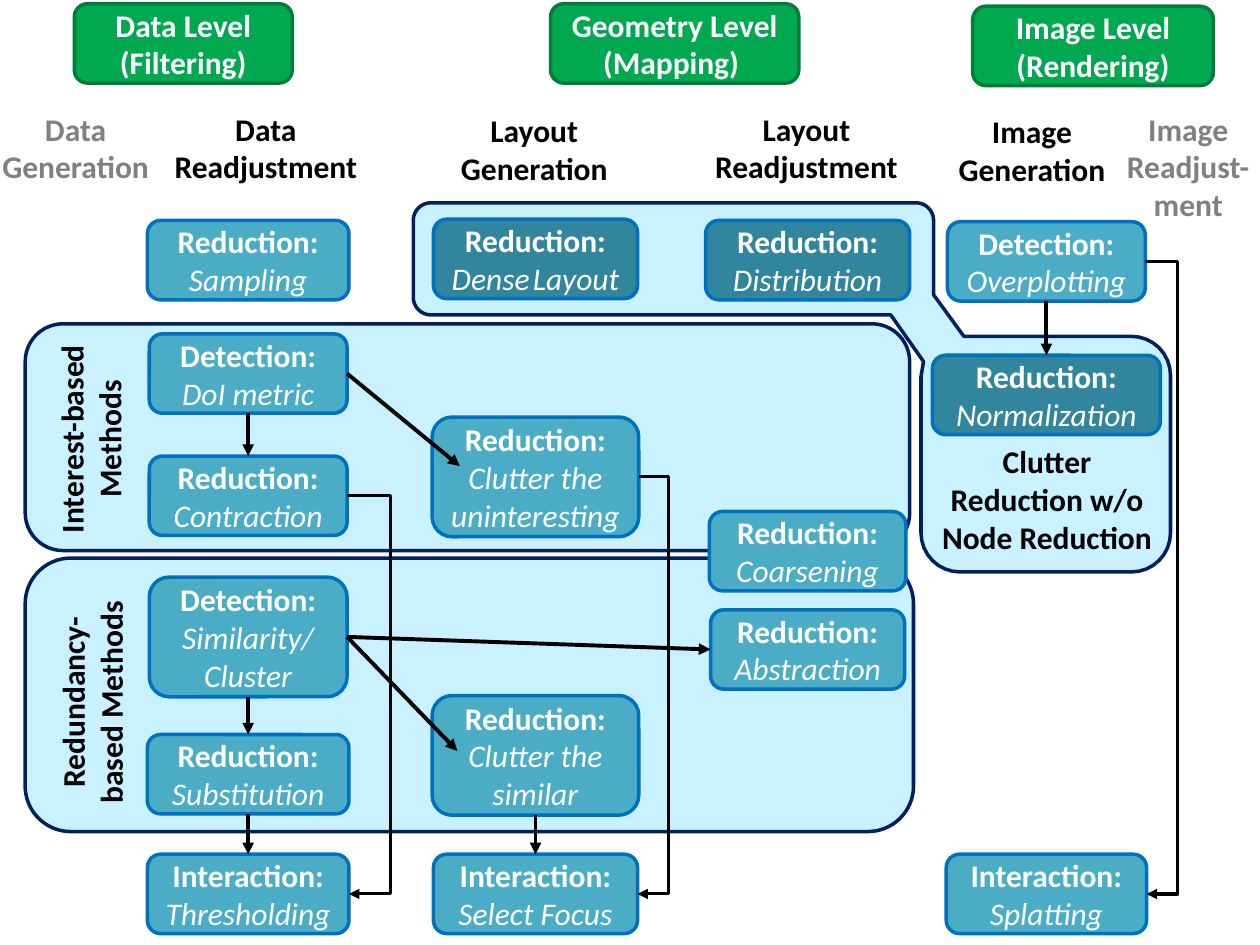
from dataclasses import dataclass
from math import cos, hypot, pi, sin

from lxml.etree import SubElement
from pptx import Presentation
from pptx.dml.color import RGBColor
from pptx.enum.shapes import MSO_CONNECTOR, MSO_SHAPE
from pptx.enum.text import MSO_ANCHOR, PP_ALIGN
from pptx.oxml.ns import qn
from pptx.util import Inches, Pt


@dataclass(frozen=True)
class Theme:
    font: str = "Calibri"
    text_size: float = 18
    thin_space_size: float = 8
    outline: float = 2
    arrow: float = 2.25
    elbow: float = 1.75
    black: str = "000000"
    white: str = "FFFFFF"
    muted: str = "808080"
    level: str = "00A950"
    level_edge: str = "007D3B"
    step: str = "4BACC6"
    step_dark: str = "31859C"
    step_edge: str = "0070C0"
    region: str = "C9F1FF"
    region_edge: str = "002060"


THEME = Theme()

# Grid: column centres in inches, and step heights by number of text lines
COLUMN = {"data": 1.97, "layout": 4.25, "readjust": 6.41, "image": 8.305}
HEIGHT = {2: 0.63, 3: 0.95}


@dataclass(frozen=True)
class Step:
    kind: str
    method: str
    column: str
    top: float
    width: float
    lines: int = 2
    fill: str = THEME.step

    @property
    def center(self) -> float:
        return COLUMN[self.column]

    @property
    def left(self) -> float:
        return self.center - self.width / 2

    @property
    def right(self) -> float:
        return self.center + self.width / 2

    @property
    def height(self) -> float:
        return HEIGHT[self.lines]

    @property
    def bottom(self) -> float:
        return self.top + self.height

    @property
    def middle(self) -> float:
        return self.top + self.height / 2


@dataclass(frozen=True)
class Caption:
    text: str
    center: float
    top: float
    width: float
    height: float = 0.71
    color: str = THEME.black
    rotation: float = 0


REGIONS = [(0.2, 4.43, 7.05, 2.17), (0.2, 2.57, 7.02, 1.8)]

# Corners (x, y, radius) of the region without node reduction
CLUTTER_REGION = [
    (3.28, 1.61, 0.14), (7.41, 1.61, 0.14), (7.41, 2.34, 0), (7.65, 2.67, 0),
    (9.29, 2.67, 0.31), (9.29, 4.54, 0.31), (7.31, 4.54, 0.31), (7.31, 2.99, 0),
    (7.33, 2.87, 0), (7.07, 2.5, 0), (3.28, 2.5, 0.14),
]

LEVELS = [
    ("Data Level (Filtering)", 0.59, 0.03, 1.73),
    ("Geometry Level (Mapping) ", 4.37, 0.03, 1.97),
    ("Image Level\v(Rendering)", 7.72, 0.05, 1.91),
]

CAPTIONS = [
    Caption("Data Generation", 0.6, 0.82, 1.42, color=THEME.muted),
    Caption("Data\vReadjustment", 2.11, 0.82, 1.69),
    Caption("Layout Generation", 4.24, 0.83, 1.42),
    Caption("Layout\vReadjustment", 6.4, 0.82, 1.69),
    Caption("Image Generation", 8.19, 0.84, 1.42),
    Caption("Image\vReadjust-ment", 9.43, 0.82, 1.69, 1.01, THEME.muted),
    Caption("Redundancy-based Methods", 0.73, 5.22, 2.06, rotation=270),
    Caption("Interest-based Methods", 0.72, 3.13, 1.75, rotation=270),
    Caption("Clutter Reduction w/o Node Reduction", 8.31, 3.46, 1.89, 1.01),
]

SAMPLING = Step("Reduction:", "Sampling", "data", 1.75, 1.6)
DOI = Step("Detection:", "DoI metric", "data", 2.65, 1.57)
CONTRACTION = Step("Reduction:", "Contraction", "data", 3.62, 1.57)
SIMILARITY = Step("Detection:", "Similarity/\vCluster", "data", 4.58, 1.57, 3)
SUBSTITUTION = Step("Reduction:", "Substitution", "data", 5.83, 1.6)
THRESHOLDING = Step("Interaction:", "Thresholding", "data", 6.78, 1.6)
DENSE = Step("Reduction:", "Dense Layout", "layout", 1.74, 1.62, fill=THEME.step_dark)
UNINTERESTING = Step("Reduction:", "Clutter the uninteresting", "layout", 3.31, 1.64, 3)
SIMILAR = Step("Reduction:", "Clutter the similar", "layout", 5.52, 1.64, 3)
FOCUS = Step("Interaction:", "Select Focus", "layout", 6.78, 1.62)
DISTRIBUTION = Step("Reduction:", "Distribution", "readjust", 1.75, 1.62,
                    fill=THEME.step_dark)
COARSENING = Step("Reduction:", "Coarsening", "readjust", 4.06, 1.56)
ABSTRACTION = Step("Reduction:", "Abstraction", "readjust", 4.84, 1.54)
OVERPLOTTING = Step("Detection:", "Overplotting", "image", 1.76, 1.57)
NORMALIZATION = Step("Reduction:", "Normalization", "image", 2.82, 1.81,
                     fill=THEME.step_dark)
SPLATTING = Step("Interaction:", "Splatting", "image", 6.78, 1.59)

STEPS = [SAMPLING, DOI, CONTRACTION, SIMILARITY, SUBSTITUTION, THRESHOLDING, DENSE,
         UNINTERESTING, SIMILAR, FOCUS, DISTRIBUTION, COARSENING, ABSTRACTION,
         OVERPLOTTING, NORMALIZATION, SPLATTING]
DOWNWARD = [(DOI, CONTRACTION), (SIMILARITY, SUBSTITUTION), (SUBSTITUTION, THRESHOLDING),
            (SIMILAR, FOCUS), (OVERPLOTTING, NORMALIZATION)]
SLANTED = [(DOI, 3.65, 3.7), (SIMILARITY, 3.63, 5.96),
           (SIMILARITY, ABSTRACTION.left, ABSTRACTION.middle)]
DETOURS = [(CONTRACTION, THRESHOLDING, 3.1), (UNINTERESTING, FOCUS, 5.31),
           (OVERPLOTTING, SPLATTING, 9.35)]


def paint(shape, fill: str, edge: str) -> None:
    shape.shadow.inherit = False
    shape.fill.solid()
    shape.fill.fore_color.rgb = RGBColor.from_string(fill)
    shape.line.color.rgb = RGBColor.from_string(edge)
    shape.line.width = Pt(THEME.outline)


def format_text(frame, color: str):
    frame.word_wrap = True
    paragraph = frame.paragraphs[0]
    paragraph.alignment = PP_ALIGN.CENTER
    paragraph.font.name = THEME.font
    paragraph.font.size = Pt(THEME.text_size)
    paragraph.font.color.rgb = RGBColor.from_string(color)
    return paragraph


def add_panel(slide, left: float, top: float, width: float, height: float,
              fill: str, edge: str):
    panel = slide.shapes.add_shape(MSO_SHAPE.ROUNDED_RECTANGLE, Inches(left), Inches(top),
                                   Inches(width), Inches(height))
    paint(panel, fill, edge)
    frame = panel.text_frame
    frame.vertical_anchor = MSO_ANCHOR.MIDDLE
    frame.margin_left = frame.margin_right = Inches(0.05)
    return frame


def add_step(slide, step: Step) -> None:
    frame = add_panel(slide, step.left, step.top, step.width, step.height,
                      step.fill, THEME.step_edge)
    paragraph = format_text(frame, THEME.white)
    kind = paragraph.add_run()
    kind.text = step.kind
    kind.font.bold = True
    paragraph.add_line_break()
    # The words of the dense layout are set closer together
    pieces = ["Dense", " ", "Layout"] if step is DENSE else step.method.split("\v")
    for index, piece in enumerate(pieces):
        if index and step is not DENSE:
            paragraph.add_line_break()
        method = paragraph.add_run()
        method.text = piece
        method.font.italic = True
        if piece == " ":
            method.font.size = Pt(THEME.thin_space_size)


def add_caption(slide, caption: Caption) -> None:
    box = slide.shapes.add_textbox(Inches(caption.center - caption.width / 2),
                                   Inches(caption.top), Inches(caption.width),
                                   Inches(caption.height))
    box.rotation = caption.rotation
    box.text_frame.text = caption.text
    format_text(box.text_frame, caption.color).font.bold = True


def add_arrow(slide, x1: float, y1: float, x2: float, y2: float,
              via: float | None = None) -> None:
    bent = via is not None
    arrow = slide.shapes.add_connector(MSO_CONNECTOR.ELBOW if bent else MSO_CONNECTOR.STRAIGHT,
                                       Inches(x1), Inches(y1), Inches(x2), Inches(y2))
    arrow.line.color.rgb = RGBColor.from_string(THEME.black)
    arrow.line.width = Pt(THEME.elbow if bent else THEME.arrow)
    properties = arrow._element.spPr
    SubElement(properties.find(qn("a:ln")), qn("a:tailEnd"), type="triangle")
    SubElement(properties, qn("a:effectLst"))
    if bent:
        share = round((via - x1) / (x2 - x1) * 100000)
        guides = properties.find(qn("a:prstGeom")).get_or_add_avLst()
        SubElement(guides, qn("a:gd"), name="adj1", fmla=f"val {share}")


def round_corners(corners: list, pieces: int = 8) -> list:
    points = []
    for index, (x, y, radius) in enumerate(corners):
        before, after = corners[index - 1], corners[(index + 1) % len(corners)]
        in_length = hypot(x - before[0], y - before[1])
        out_length = hypot(after[0] - x, after[1] - y)
        ux, uy = (x - before[0]) / in_length, (y - before[1]) / in_length
        wx, wy = (after[0] - x) / out_length, (after[1] - y) / out_length
        for piece in range(pieces + 1 if radius else 1):
            angle = piece / pieces * pi / 2
            back, ahead = radius * (sin(angle) - 1), radius * (1 - cos(angle))
            points.append((Inches(x + ux * back + wx * ahead),
                           Inches(y + uy * back + wy * ahead)))
    return points


def main() -> None:
    deck = Presentation()
    deck.slide_width, deck.slide_height = Inches(10), Inches(7.5)
    slide = deck.slides.add_slide(deck.slide_layouts[6])

    # Regions behind the steps
    start, *rest = round_corners(CLUTTER_REGION)
    outline = slide.shapes.build_freeform(*start)
    outline.add_line_segments(rest, close=True)
    paint(outline.convert_to_shape(), THEME.region, THEME.region_edge)
    for region in REGIONS:
        add_panel(slide, *region, THEME.region, THEME.region_edge)

    # Level headings and captions
    for text, left, top, width in LEVELS:
        frame = add_panel(slide, left, top, width, HEIGHT[2], THEME.level, THEME.level_edge)
        frame.text = text
        format_text(frame, THEME.white).font.bold = True
    for caption in CAPTIONS:
        add_caption(slide, caption)

    # Steps and the arrows between them
    for step in STEPS:
        add_step(slide, step)
    for source, target in DOWNWARD:
        add_arrow(slide, source.center, source.bottom, target.center, target.top)
    for source, x, y in SLANTED:
        add_arrow(slide, source.right, source.middle, x, y)
    for source, target, gutter in DETOURS:
        add_arrow(slide, source.right, source.middle, target.right, target.middle, gutter)

    deck.save("out.pptx")


if __name__ == "__main__":
    main()
